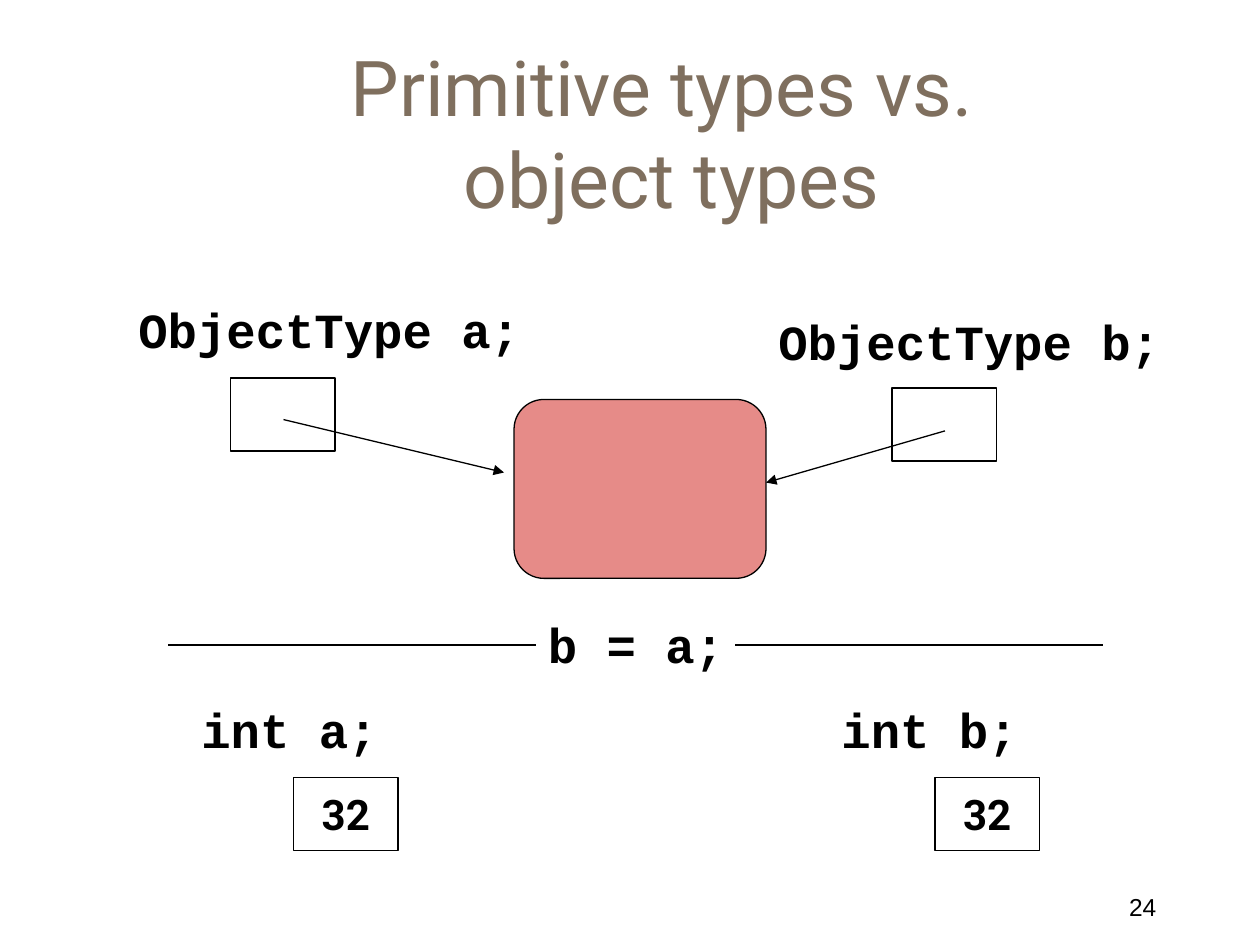
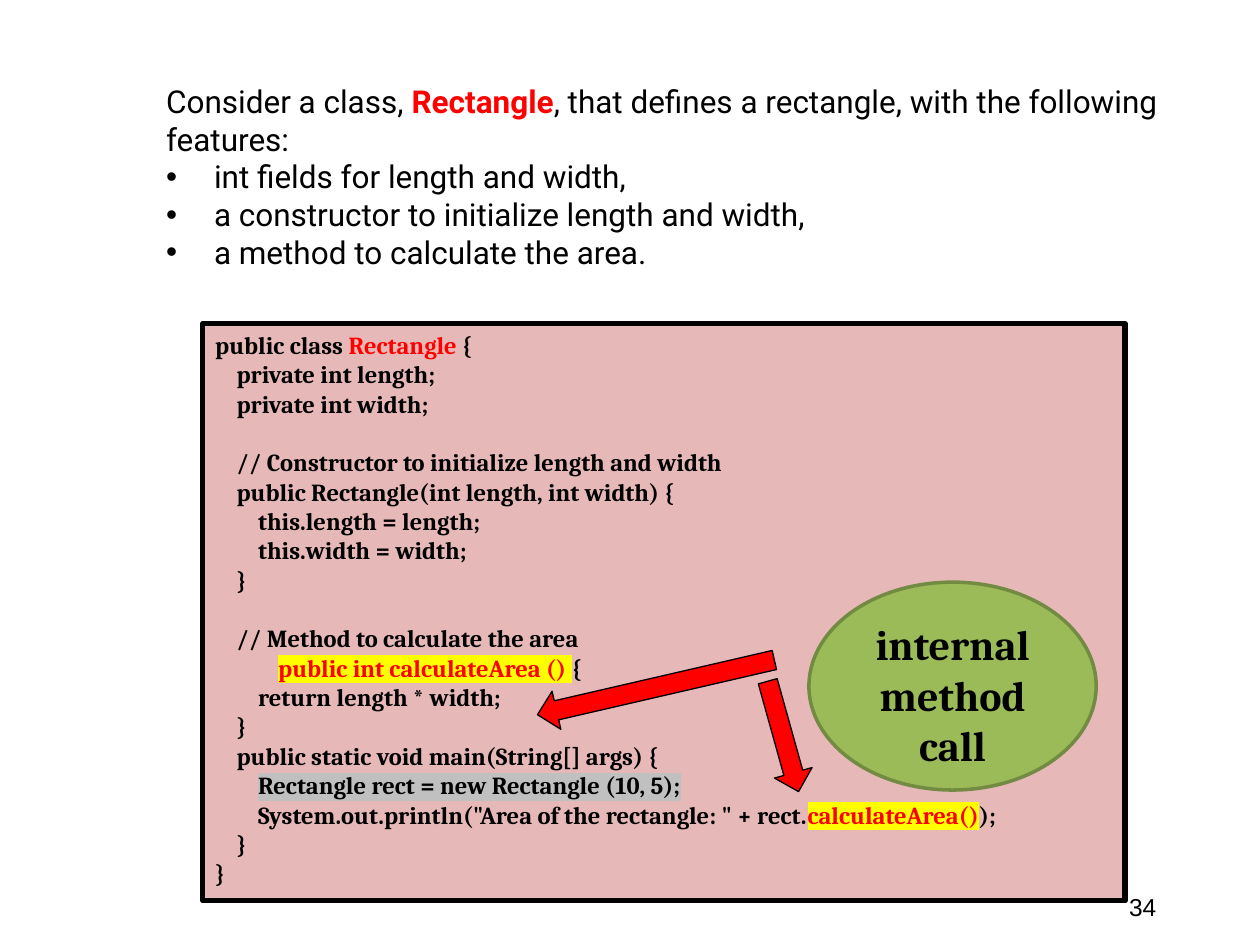
from lxml import etree
from pptx import Presentation
from pptx.dml.color import RGBColor
from pptx.enum.shapes import MSO_CONNECTOR, MSO_SHAPE
from pptx.enum.text import MSO_ANCHOR, PP_ALIGN
from pptx.oxml.ns import qn
from pptx.util import Inches, Pt

# Enum members
RECTANGLE = MSO_SHAPE.RECTANGLE
ROUNDED = MSO_SHAPE.ROUNDED_RECTANGLE
OVAL = MSO_SHAPE.OVAL
RIGHT_ARROW = MSO_SHAPE.RIGHT_ARROW
STRAIGHT = MSO_CONNECTOR.STRAIGHT
LEFT, CENTER, RIGHT = PP_ALIGN.LEFT, PP_ALIGN.CENTER, PP_ALIGN.RIGHT
TOP, MIDDLE = MSO_ANCHOR.TOP, MSO_ANCHOR.MIDDLE

# Colours
BLACK = RGBColor(0x00, 0x00, 0x00)
RED = RGBColor(0xFF, 0x00, 0x00)
TITLE_BROWN = RGBColor(0x7F, 0x6F, 0x5E)
OBJECT_PINK = RGBColor(0xE6, 0x8B, 0x88)
CODE_PINK = RGBColor(0xE6, 0xB9, 0xB8)
GREEN = RGBColor(0x9B, 0xBB, 0x59)
DARK_GREEN = RGBColor(0x73, 0x8A, 0x42)
YELLOW = RGBColor(0xFF, 0xFF, 0x00)
GRAY = RGBColor(0xC0, 0xC0, 0xC0)

# Fonts and measures
BODY_FONT, CODE_FONT, MONO_FONT, NUMBER_FONT = "Roboto", "Cambria", "Courier New", "Arial"
CODE_INDENT = 0.17
BULLET_INDENT = 0.38
BLANK_LINE = Pt(16.5)
CELL_SIZE = (0.83, 0.58)


class Deck:
    """Holds the presentation, the shared style and the current slide."""

    def __init__(self):
        self.presentation = Presentation()
        self.presentation.slide_width = Inches(10)
        self.presentation.slide_height = Inches(7.5)
        self.slide = None

    def new_slide(self, number):
        layout = self.presentation.slide_layouts[6]
        self.slide = self.presentation.slides.add_slide(layout)
        self.text(8.75, 7.03, 0.58, 0.33, f"{number} ", NUMBER_FONT, 14, align=RIGHT)

    def style_run(self, run, font, size, color=BLACK, bold=False, highlight=None):
        run.font.name = font
        run.font.size = Pt(size)
        run.font.bold = bold
        run.font.color.rgb = color
        if highlight is not None:
            mark = etree.Element(qn("a:highlight"))
            etree.SubElement(mark, qn("a:srgbClr"), val=str(highlight))
            run.font._element.find(qn("a:solidFill")).addnext(mark)

    def fill_text(self, shape, text, font, size, color=BLACK, bold=False,
                  align=LEFT, anchor=TOP, wrap=True):
        frame = shape.text_frame
        frame.word_wrap = wrap
        frame.vertical_anchor = anchor
        paragraph = frame.paragraphs[0]
        paragraph.text = text
        paragraph.alignment = align
        for run in paragraph.runs:
            self.style_run(run, font, size, color, bold)

    def text(self, left, top, width, height, text, font, size, **style):
        shape = self.slide.shapes.add_textbox(
            Inches(left), Inches(top), Inches(width), Inches(height))
        self.fill_text(shape, text, font, size, **style)
        return shape

    def title(self, text):
        self.text(1.08, 0.42, 8.5, 1.25, text, BODY_FONT, 44,
                  color=TITLE_BROWN, align=CENTER, anchor=MIDDLE)

    def label(self, left, top, width, text):
        self.text(left, top, width, 0.57, text, MONO_FONT, 28, bold=True)

    def shape(self, kind, left, top, width, height, fill=None,
              line=BLACK, line_width=0.75, rotation=0):
        shape = self.slide.shapes.add_shape(
            kind, Inches(left), Inches(top), Inches(width), Inches(height))
        shape.shadow.inherit = False
        shape.rotation = rotation
        if fill is None:
            shape.fill.background()
        else:
            shape.fill.solid()
            shape.fill.fore_color.rgb = fill
        shape.line.color.rgb = line
        shape.line.width = Pt(line_width)
        return shape

    def memory_cell(self, left, top, value=None):
        cell = self.shape(RECTANGLE, left, top, *CELL_SIZE)
        if value:
            self.fill_text(cell, value, BODY_FONT, 24, bold=True,
                           align=CENTER, anchor=MIDDLE, wrap=False)

    def line(self, start, end, arrow=False):
        ends = [Inches(length) for length in (*start, *end)]
        connector = self.slide.shapes.add_connector(STRAIGHT, *ends)
        connector.line.color.rgb = BLACK
        connector.line.width = Pt(0.75)
        properties = connector._element.spPr
        if arrow:
            etree.SubElement(properties.find(qn("a:ln")), qn("a:tailEnd"), type="triangle")
        etree.SubElement(properties, qn("a:effectLst"))

    def paragraphs(self, shape, lines, font, size, bold=False):
        """Each line is (options, runs); each run is (text, style)."""
        frame = shape.text_frame
        frame.word_wrap = True
        frame.vertical_anchor = TOP
        for index, (options, runs) in enumerate(lines):
            paragraph = frame.add_paragraph() if index else frame.paragraphs[0]
            paragraph.alignment = LEFT
            if options.get("gap"):
                paragraph.space_before = BLANK_LINE
            for text, style in runs:
                run = paragraph.add_run()
                run.text = text
                self.style_run(run, font, size, **{"bold": bold, **style})
            self.indent(paragraph, **options)

    def indent(self, paragraph, level=0, tab=False, bullet=False, gap=False):
        properties = paragraph._p.get_or_add_pPr()
        properties.set("marL", str(Inches(BULLET_INDENT if bullet else level * CODE_INDENT)))
        properties.set("indent", str(-Inches(BULLET_INDENT) if bullet else 0))
        if bullet:
            etree.SubElement(properties, qn("a:buFont"), typeface="Arial")
            etree.SubElement(properties, qn("a:buChar"), char="•")
        if tab:
            stops = etree.SubElement(properties, qn("a:tabLst"))
            etree.SubElement(stops, qn("a:tab"), pos=str(Inches(CODE_INDENT)), algn="l")


def code(level, *runs, **options):
    """One line of code; plain strings become unstyled runs."""
    styled = [(run, {}) if isinstance(run, str) else run for run in runs]
    return {"level": level, **options}, styled


deck = Deck()

# Slide 1: references compared with values
deck.new_slide(24)
deck.title("Primitive types vs. \vobject types")

# Two references to one object
deck.memory_cell(1.83, 3)
deck.memory_cell(7.08, 3.08)
deck.shape(ROUNDED, 4.08, 3.17, 2, 1.42, fill=OBJECT_PINK)
deck.line((2.25, 3.33), (4, 3.75), arrow=True)
deck.line((7.5, 3.42), (6.08, 3.83), arrow=True)
deck.label(1, 2.33, 3.92, "ObjectType a;")
deck.label(6.08, 2.42, 3.33, "ObjectType b;")

# Assignment between two rules
deck.label(4.25, 4.83, 1.75, "b = a;")
for rule_left in (1.33, 5.83):
    deck.line((rule_left + 2.92, 5.12), (rule_left, 5.12))

# Two separate values
for name, label_left, cell_left in (("a", 1.5, 2.33), ("b", 6.58, 7.42)):
    deck.label(label_left, 5.5, 2.25, f"int {name};")
    deck.memory_cell(cell_left, 6.17, "32")

# Slide 2: a class with an internal method call
deck.new_slide(34)
features = ("int fields for length and width,",
            "a constructor to initialize length and width,",
            "a method to calculate the area.")
introduction = [({}, [("Consider a class, ", {}),
                      ("Rectangle", {"color": RED, "bold": True}),
                      (", that defines a rectangle, with the following features:", {})])]
introduction += [({"bullet": True}, [(feature, {})]) for feature in features]
introduction_box = deck.text(1.22, 0.6, 8.19, 1.62, "", BODY_FONT, 18)
deck.paragraphs(introduction_box, introduction, BODY_FONT, 18)

# Code listing
red_mark = {"color": RED, "highlight": YELLOW}
listing = [
    code(0, "public class ", ("Rectangle", {"color": RED}), " {"),
    code(1, "private int length;"),
    code(1, "private int width;"),
    code(1, "// Constructor to initialize length and width", gap=True),
    code(1, "public Rectangle(int length, int width) {"),
    code(2, "this.length = length;"),
    code(2, "this.width = width;"),
    code(1, "}"),
    code(1, "// Method to calculate the area", gap=True),
    code(0, ("\t", {"highlight": YELLOW}),
         ("public int calculateArea () ", red_mark), "{", tab=True),
    code(2, "return length * width;"),
    code(1, "}"),
    code(1, "public static void main(String[] args) {"),
    code(2, ("Rectangle rect = new Rectangle (10, 5);", {"highlight": GRAY})),
    code(2, 'System.out.println("Area of the rectangle: " + rect.',
         ("calculateArea()", red_mark), ");"),
    code(1, "}"),
    code(0, "}"),
]
code_box = deck.shape(RECTANGLE, 1.61, 2.57, 7.32, 4.58, fill=CODE_PINK, line_width=3)
deck.paragraphs(code_box, listing, CODE_FONT, 14, bold=True)

# Callout and its arrows
callout = deck.shape(OVAL, 6.42, 4.62, 2.28, 1.65, fill=GREEN, line=DARK_GREEN, line_width=2)
deck.fill_text(callout, "internal method call", CODE_FONT, 24, bold=True, align=CENTER)
for left, top, length, rotation in ((4.24, 5.3, 1.93, 167), (5.76, 5.69, 0.91, 74.4)):
    deck.shape(RIGHT_ARROW, left, top, length, 0.31, fill=RED, rotation=rotation)

deck.presentation.save("out.pptx")
